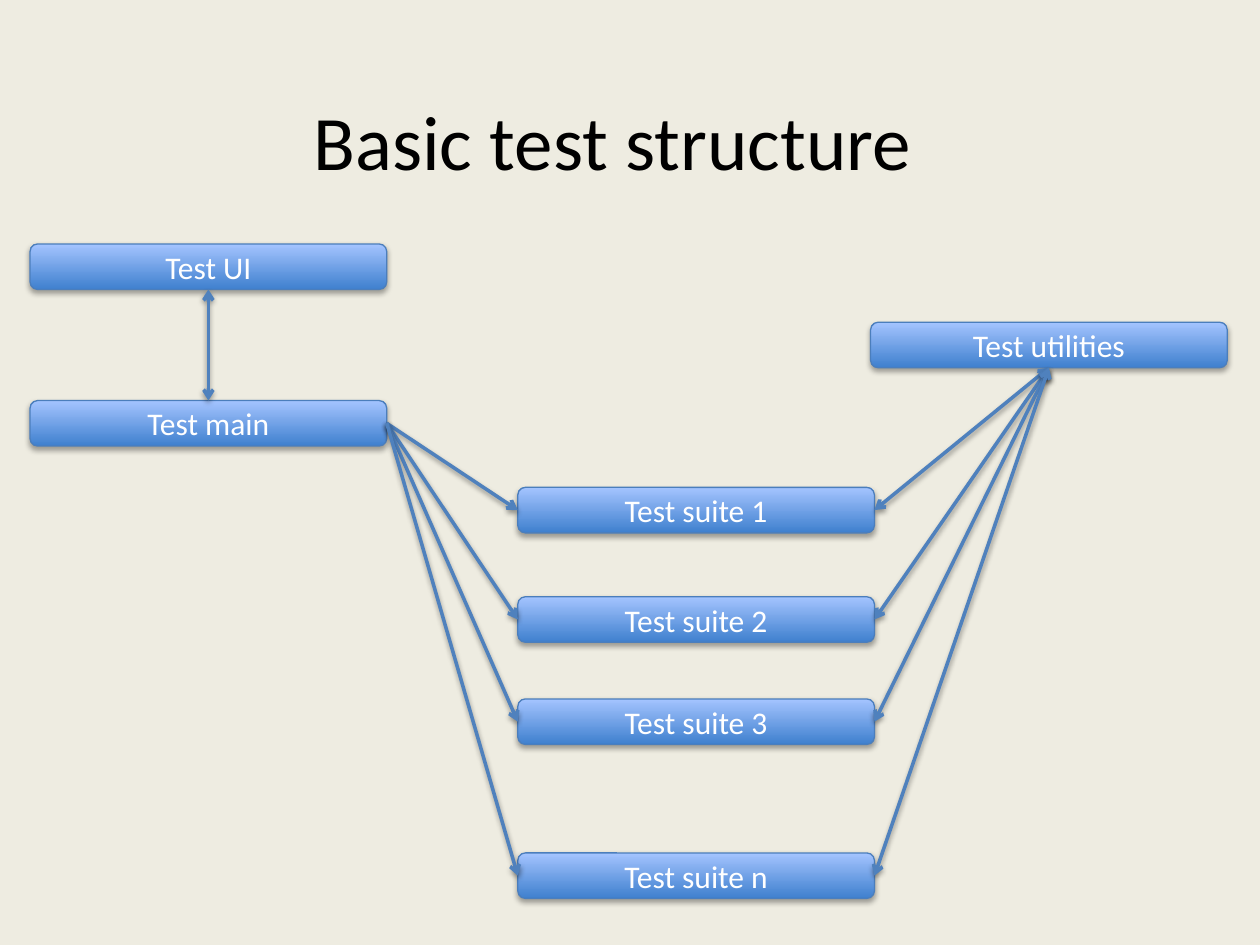
from dataclasses import dataclass
from typing import NamedTuple

from lxml.etree import SubElement
from pptx import Presentation
from pptx.dml.color import RGBColor
from pptx.enum.shapes import MSO_CONNECTOR as Connector, MSO_SHAPE as Shape
from pptx.enum.text import MSO_ANCHOR as Anchor, PP_ALIGN as Align
from pptx.oxml.ns import qn
from pptx.util import Pt

TOP, LEFT, BOTTOM, RIGHT = range(4)


@dataclass(frozen=True)
class Theme:
    """Colours and type of the slide."""
    font: str = "Calibri"
    title_size: float = 44
    label_size: float = 18
    background: str = "EEECE1"
    ink: str = "000000"
    label: str = "FFFFFF"
    fill_bottom: str = "3F80CE"
    fill_top: str = "A4C4FF"
    outline: str = "4B7EBC"
    arrow: str = "4F81BD"


class Box(NamedTuple):
    """A rectangle in points."""
    left: float
    top: float
    width: float
    height: float


THEME = Theme()
NODE_WIDTH, NODE_HEIGHT = 203.8, 26


def rgb(code):
    """Turn a hex code into a colour."""
    return RGBColor.from_string(code)


def write(shape, text, size, color, align=Align.LEFT, anchor=Anchor.TOP, wrap=True):
    """Put one formatted line of text into a shape."""
    frame = shape.text_frame
    frame.word_wrap = wrap
    frame.vertical_anchor = anchor
    para = frame.paragraphs[0]
    para.alignment = align
    span = para.add_run()
    span.text = text
    span.font.name = THEME.font
    span.font.size = Pt(size)
    span.font.color.rgb = rgb(color)


def add_shadow(shape, distance, opacity):
    """Cast a soft black shadow straight down."""
    effects = SubElement(shape._element.spPr, qn("a:effectLst"))
    shadow = SubElement(effects, qn("a:outerShdw"), blurRad=str(Pt(3.1)),
                        dist=str(Pt(distance)), dir="5400000", rotWithShape="0")
    color = SubElement(shadow, qn("a:srgbClr"), val="000000")
    SubElement(color, qn("a:alpha"), val=str(opacity * 1000))


def add_node(page, text, left, top):
    """Draw one labelled rounded bar."""
    node = page.shapes.add_shape(Shape.ROUNDED_RECTANGLE, Pt(left), Pt(top),
                                 Pt(NODE_WIDTH), Pt(NODE_HEIGHT))
    node.fill.gradient()
    node.fill.gradient_angle = 90
    for stop, code in zip(node.fill.gradient_stops, (THEME.fill_bottom, THEME.fill_top)):
        stop.color.rgb = rgb(code)
    node.line.color.rgb = rgb(THEME.outline)
    node.line.width = Pt(0.75)
    add_shadow(node, 1.8, 35)
    write(node, text, THEME.label_size, THEME.label, Align.CENTER, Anchor.MIDDLE)
    return node


def add_arrow(page, start, start_side, end, end_side, both=True):
    """Join two nodes with an arrow, pointed at one end or both."""
    arrow = page.shapes.add_connector(Connector.STRAIGHT, 0, 0, 0, 0)
    arrow.begin_connect(start, start_side)
    arrow.end_connect(end, end_side)
    arrow.line.color.rgb = rgb(THEME.arrow)
    arrow.line.width = Pt(2)
    for tag in ("a:headEnd", "a:tailEnd") if both else ("a:tailEnd",):
        SubElement(arrow.line._get_or_add_ln(), qn(tag), type="arrow")
    add_shadow(arrow, 1.6, 38)


def add_title(page, box, text):
    """Place the slide title."""
    title = page.shapes.add_textbox(*map(Pt, box))
    write(title, text, THEME.title_size, THEME.ink, wrap=False)


def add_diagram(page, box):
    """Draw the test parts and the arrows between them."""
    main_drop = 89.5
    interface = add_node(page, "Test UI", box.left, box.top)
    main = add_node(page, "Test main", box.left, box.top + main_drop)
    utilities = add_node(page, "Test utilities", box.left + box.width - NODE_WIDTH,
                         box.top + main_drop / 2)
    add_arrow(page, interface, BOTTOM, main, TOP)

    for name, drop in {"1": 139.1, "2": 201.6, "3": 260,
                       "n": box.height - NODE_HEIGHT}.items():
        suite = add_node(page, f"Test suite {name}", box.left + 278.7, box.top + drop)
        add_arrow(page, main, RIGHT, suite, LEFT, both=False)
        add_arrow(page, suite, RIGHT, utilities, BOTTOM)


def main():
    """Build and save the deck."""
    deck = Presentation()
    deck.slide_width, deck.slide_height = Pt(720), Pt(540)
    page = deck.slides.add_slide(deck.slide_layouts[6])
    page.background.fill.solid()
    page.background.fill.fore_color.rgb = rgb(THEME.background)
    add_diagram(page, Box(17.2, 139.4, 684.1, 374))
    add_title(page, Box(172.1, 49.7, 361.4, 60.5), "Basic test structure")
    deck.save("out.pptx")


if __name__ == "__main__":
    main()
